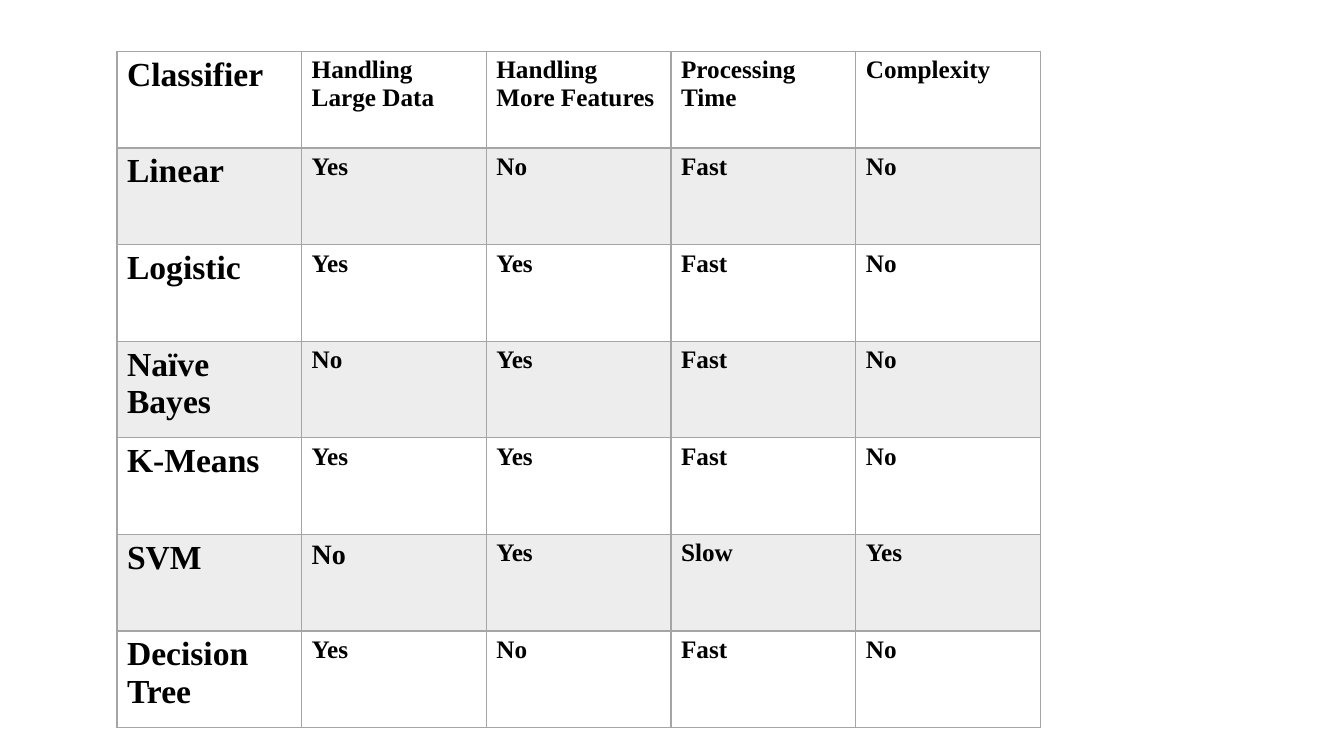
from lxml import etree
from pptx import Presentation
from pptx.dml.color import RGBColor
from pptx.enum.dml import MSO_THEME_COLOR
from pptx.oxml.ns import qn
from pptx.util import Inches, Pt

BLACK = RGBColor(0x00, 0x00, 0x00)
GRAY = RGBColor(0xA5, 0xA5, 0xA5)
BAND_OPACITY = 20
FONT = "Times New Roman"
NAME_SIZE, VALUE_SIZE, LARGE_VALUE_SIZE = 24, 18, 20
LARGE_VALUE_CELL = (5, 1)

CLASSIFIERS = [
    ["Classifier", "Handling Large Data", "Handling More Features",
     "Processing Time", "Complexity"],
    ["Linear", "Yes", "No", "Fast", "No"],
    ["Logistic", "Yes", "Yes", "Fast", "No"],
    ["Naïve Bayes", "No", "Yes", "Fast", "No"],
    ["K-Means", "Yes", "Yes", "Fast", "No"],
    ["SVM", "No", "Yes", "Slow", "Yes"],
    ["Decision Tree", "Yes", "No", "Fast", "No"],
]


def set_border(cell, side, width):
    """Draw one gray border of a cell."""
    properties = cell._tc.get_or_add_tcPr()
    line = etree.SubElement(properties, qn(f"a:ln{side}"), w=str(Pt(width)))
    fill = etree.SubElement(line, qn("a:solidFill"))
    etree.SubElement(fill, qn("a:srgbClr"), val=str(GRAY))


def set_fill(cell, banded):
    """Fill a banded cell with translucent gray and leave others clear."""
    if not banded:
        cell.fill.background()
        return
    cell.fill.solid()
    cell.fill.fore_color.rgb = GRAY
    color = cell._tc.tcPr.find(f"{qn('a:solidFill')}/{qn('a:srgbClr')}")
    etree.SubElement(color, qn("a:alpha"), val=str(BAND_OPACITY * 1000))


def text_size(row, column):
    """Return the point size used at a table position."""
    if column == 0:
        return NAME_SIZE
    return LARGE_VALUE_SIZE if (row, column) == LARGE_VALUE_CELL else VALUE_SIZE


def style_cell(cell, text, row, column):
    """Write and format one cell of the comparison."""
    cell.text = text
    font = cell.text_frame.paragraphs[0].font
    font.name, font.size, font.bold = FONT, Pt(text_size(row, column)), True
    font.color.rgb = BLACK
    widths = {"L": 1, "R": 1, "T": 2 if row == 1 else 1, "B": 2 if row == 0 else 1}
    for side, width in widths.items():
        set_border(cell, side, width)
    set_fill(cell, row % 2 == 1)


def add_comparison_table(slide, left, top, width, height):
    """Add the classifier comparison with equal rows and columns."""
    row_count, column_count = len(CLASSIFIERS), len(CLASSIFIERS[0])
    table = slide.shapes.add_table(
        row_count, column_count, left, top, width, height).table
    for row, texts in enumerate(CLASSIFIERS):
        for column, text in enumerate(texts):
            style_cell(table.cell(row, column), text, row, column)


def main():
    """Build and save the presentation."""
    presentation = Presentation()
    presentation.slide_width = Inches(13.33)
    presentation.slide_height = Inches(7.5)
    slide = presentation.slides.add_slide(presentation.slide_layouts[6])
    add_comparison_table(
        slide, Inches(1.16), Inches(0.51), Inches(9.16), Inches(6.71))
    presentation.save("out.pptx")


main()
